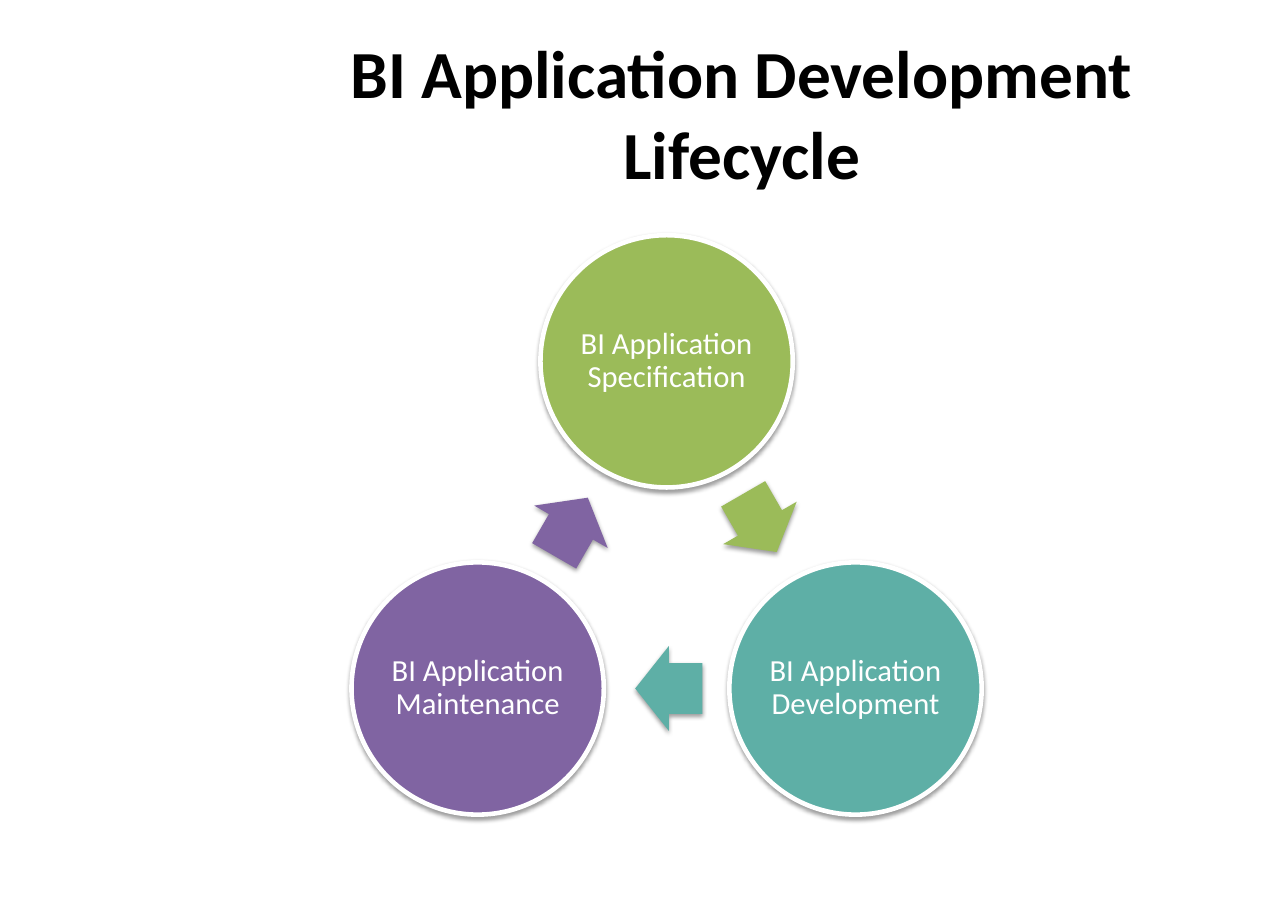
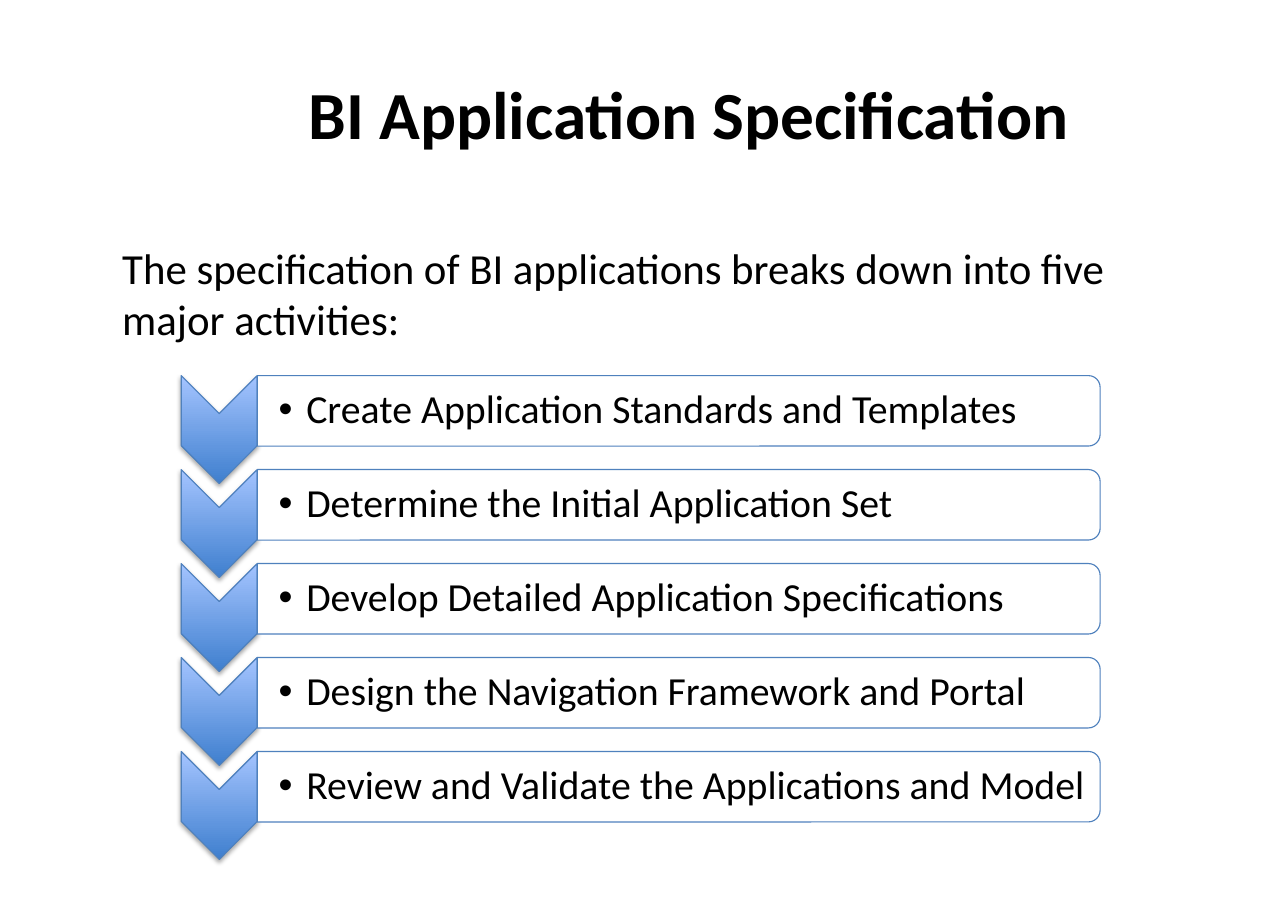
from math import cos, radians, sin

from lxml import etree
from pptx import Presentation
from pptx.dml.color import RGBColor
from pptx.enum.shapes import MSO_SHAPE as SHAPE
from pptx.enum.text import MSO_ANCHOR as ANCHOR, PP_ALIGN as ALIGN
from pptx.oxml import parse_xml
from pptx.oxml.ns import nsdecls, qn
from pptx.util import Inches, Pt

FONT = "Calibri"
BLACK = RGBColor(0x00, 0x00, 0x00)
WHITE = RGBColor(0xFF, 0xFF, 0xFF)
GREEN = RGBColor(0x9B, 0xBB, 0x59)
TEAL = RGBColor(0x5E, 0xAF, 0xA6)
PURPLE = RGBColor(0x80, 0x64, 0xA2)
BLUE = RGBColor(0x4F, 0x81, 0xBD)
BLUE_DARK = RGBColor(0x3F, 0x7F, 0xCE)
BLUE_LIGHT = RGBColor(0xA4, 0xC4, 0xFF)


def add_centred(slide, kind, cx, cy, w, h, rotation=0, shadow=0):
    """Add a shape by its centre; shadow is the opacity in percent, 0 for none."""
    sp = slide.shapes.add_shape(kind, Inches(cx - w / 2), Inches(cy - h / 2), Inches(w), Inches(h))
    sp.rotation = rotation
    sp.shadow.inherit = False
    if shadow:
        sp._element.spPr.find(qn("a:effectLst")).append(parse_xml(
            f'<a:outerShdw {nsdecls("a")} blurRad="{Pt(3.1)}" dist="{Pt(1.7)}" dir="5400000" '
            f'rotWithShape="0"><a:srgbClr val="000000"><a:alpha val="{shadow * 1000}"/>'
            '</a:srgbClr></a:outerShdw>'))
    return sp


def set_text(sp, text, size, color=BLACK, bold=False, align=ALIGN.LEFT, anchor=ANCHOR.MIDDLE,
             insets=(0.11, 0.06, 0.11, 0.06)):
    tf = sp.text_frame
    tf.word_wrap = True
    tf.vertical_anchor = anchor
    tf.margin_left, tf.margin_top, tf.margin_right, tf.margin_bottom = map(Inches, insets)
    tf.text = text
    p = tf.paragraphs[0]
    p.alignment = align
    font = p.runs[0].font
    font.name, font.size, font.bold = FONT, Pt(size), bold
    font.color.rgb = color
    return p


prs = Presentation()
prs.slide_width, prs.slide_height = Inches(11.69), Inches(8.27)

# Titles
slides = []
for text, left, width in [("BI Application Development Lifecycle", 2.36, 8.75),
                          ("BI Application Specification", 1.41, 9.69)]:
    slide = prs.slides.add_slide(prs.slide_layouts[5])
    title = slide.shapes.title
    title.left, title.top = Inches(left), Inches(0.33)
    title.width, title.height = Inches(width), Inches(1.38)
    set_text(title, text, 44, bold=True, align=ALIGN.CENTER)
    slides.append(slide)
lifecycle, specification = slides

# Slide 1: three stages on a ring, each followed by an arrow to the next
RING_X, RING_Y, RING_RADIUS = 6.05, 5.26, 1.98
ARROW_RADIUS = RING_RADIUS / 2
ARROW_SETBACK = 0.02
stages = [("Specification", GREEN), ("Development", TEAL), ("Maintenance", PURPLE)]
for i, (stage, color) in enumerate(stages):
    angle = radians(120 * i - 90)
    circle = add_centred(lifecycle, SHAPE.OVAL, RING_X + RING_RADIUS * cos(angle),
                         RING_Y + RING_RADIUS * sin(angle), 2.29, 2.29, shadow=38)
    circle.fill.solid()
    circle.fill.fore_color.rgb = color
    circle.line.color.rgb = WHITE
    circle.line.width = Pt(3)
    p = set_text(circle, f"BI Application {stage}", 20, WHITE, align=ALIGN.CENTER,
                 insets=(0, 0, 0, 0))
    p.line_spacing = 0.9

    heading = 120 * i + 60
    angle = radians(heading - 90)
    arrow = add_centred(
        lifecycle, SHAPE.RIGHT_ARROW,
        RING_X + ARROW_RADIUS * cos(angle) - ARROW_SETBACK * cos(radians(heading)),
        RING_Y + ARROW_RADIUS * sin(angle) - ARROW_SETBACK * sin(radians(heading)),
        0.61, 0.77, heading, shadow=38)
    arrow.adjustments[0], arrow.adjustments[1] = 0.6, 0.5
    arrow.fill.solid()
    arrow.fill.fore_color.rgb = color
    arrow.line.fill.background()

# Slide 2: introduction and chevron list
intro = specification.shapes.add_textbox(Inches(1), Inches(2.13), Inches(10), Inches(1.2))
set_text(intro, "The specification of BI applications breaks down into five major activities:",
         28, anchor=ANCHOR.TOP)

ROW_TOP, ROW_PITCH = 3.73, 0.853
activities = ["Create Application Standards and Templates",
              "Determine the Initial Application Set",
              "Develop Detailed Application Specifications",
              "Design the Navigation Framework and Portal",
              "Review and Validate the Applications and Model"]
for i, activity in enumerate(activities):
    cy = ROW_TOP + i * ROW_PITCH
    chevron = add_centred(specification, SHAPE.CHEVRON, 1.99, cy + 0.17, 0.98, 0.69, 90, shadow=35)
    chevron.fill.gradient()
    chevron.fill.gradient_angle = 90
    for stop, color, position in zip(chevron.fill.gradient_stops, (BLUE_DARK, BLUE_LIGHT), (0, 1)):
        stop.color.rgb = color
        stop.position = position
    chevron._element.spPr.find(qn("a:gradFill")).set("rotWithShape", "0")

    bar = add_centred(specification, SHAPE.ROUND_2_SAME_RECTANGLE, 6.16, cy, 0.64, 7.65, 90)
    bar.fill.solid()
    bar.fill.fore_color.rgb = WHITE
    for sp in (chevron, bar):
        sp.line.color.rgb = BLUE
        sp.line.width = Pt(0.75)

    label = specification.shapes.add_textbox(Inches(2.33), Inches(cy - 0.29), Inches(7.62), Inches(0.58))
    p = set_text(label, activity, 26, insets=(0.2, 0.02, 0, 0.02))
    p.line_spacing = 0.9
    pPr = p._p.get_or_add_pPr()
    pPr.set("marL", str(Inches(0.25)))
    pPr.set("indent", str(Inches(-0.25)))
    etree.SubElement(pPr, qn("a:buFont")).set("typeface", "Arial")
    etree.SubElement(pPr, qn("a:buChar")).set("char", "•")

prs.save("out.pptx")
